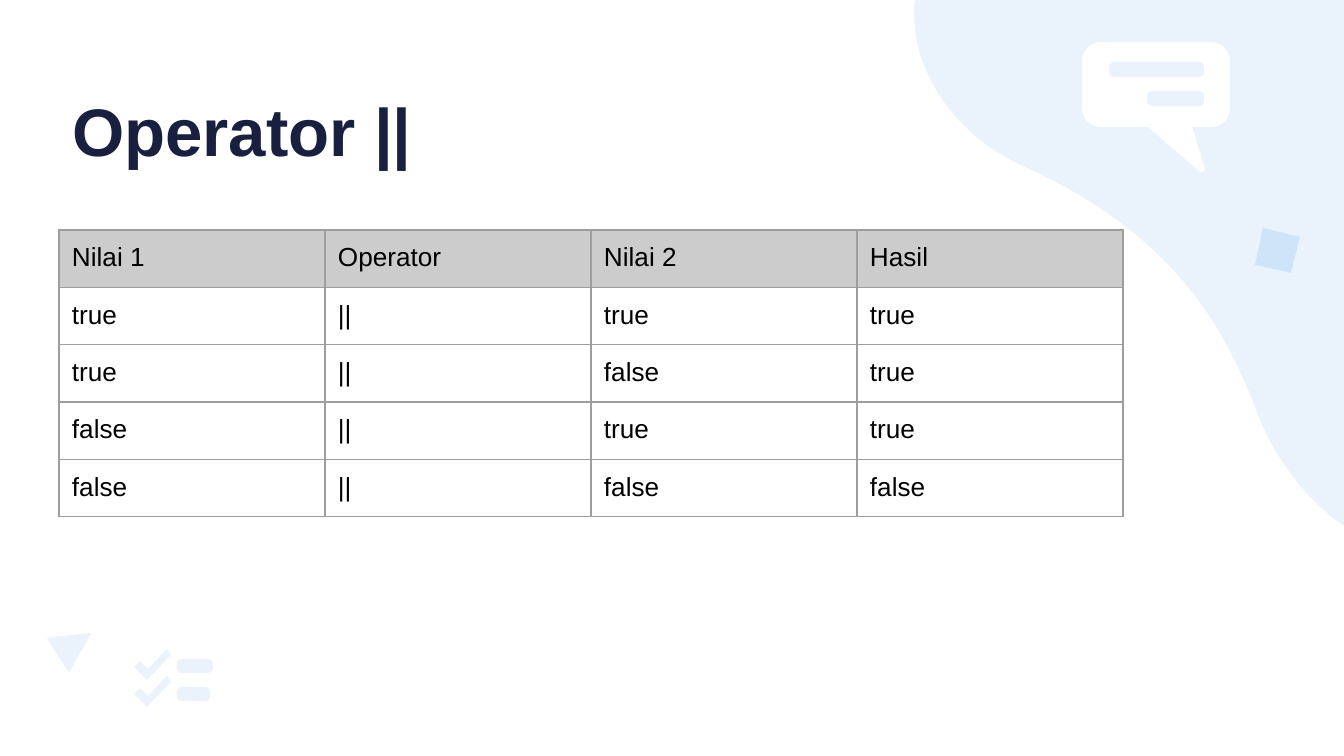
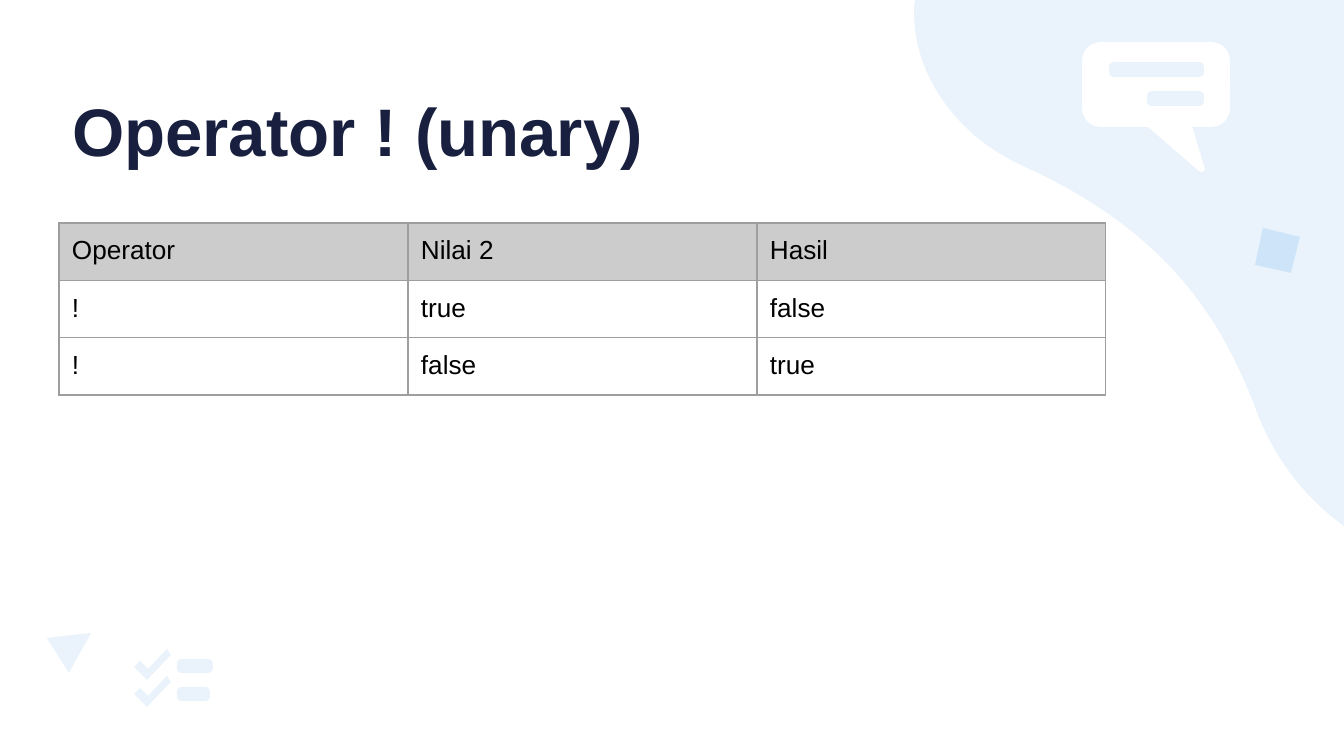
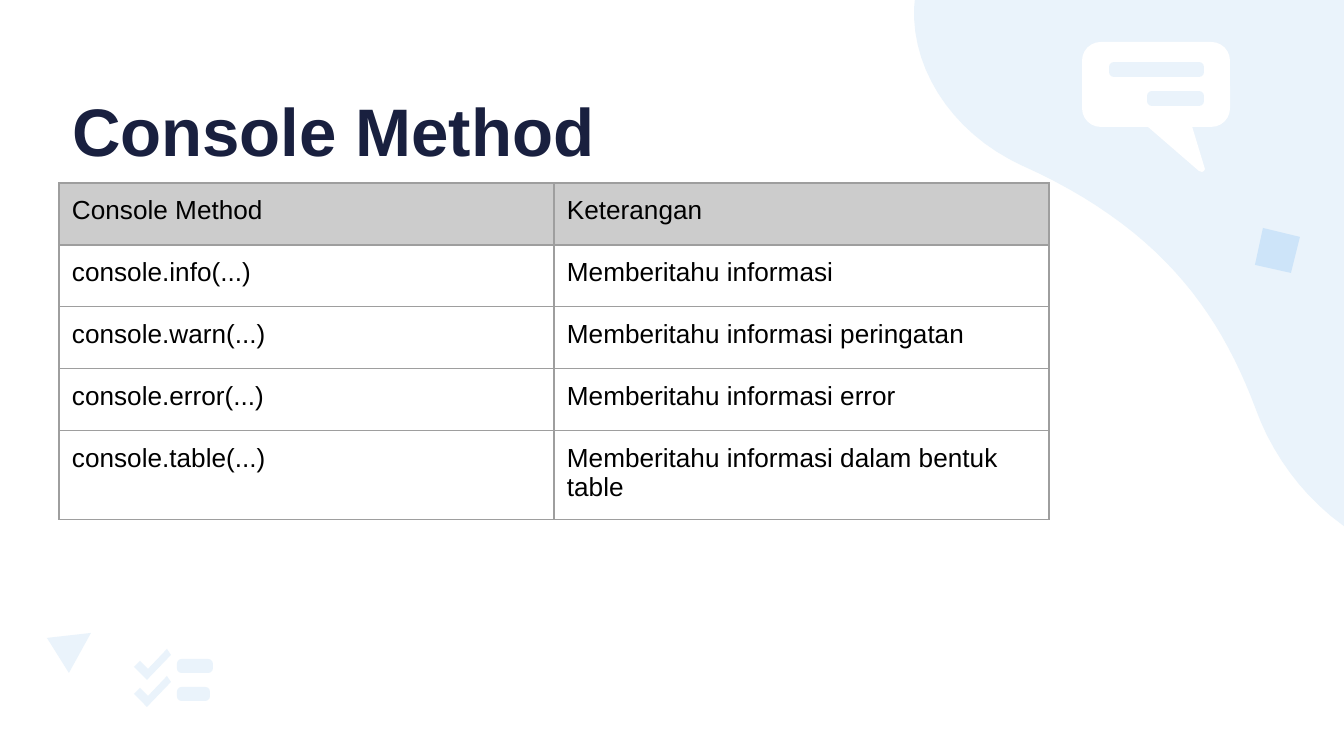
"""Build three slides of operator and console method tables."""
from math import cos, radians, sin

from lxml.etree import SubElement
from pptx import Presentation
from pptx.dml.color import RGBColor
from pptx.enum.shapes import MSO_SHAPE
from pptx.enum.text import MSO_ANCHOR
from pptx.oxml.ns import qn
from pptx.util import Pt

SLIDES = [
    ("Operator ||", 230, 266, 57, [
        ("Nilai 1", "Operator", "Nilai 2", "Hasil"),
        ("true", "||", "true", "true"),
        ("true", "||", "false", "true"),
        ("false", "||", "true", "true"),
        ("false", "||", "false", "false"),
    ]),
    ("Operator ! (unary)", 223, 349, 57, [
        ("Operator", "Nilai 2", "Hasil"),
        ("!", "true", "false"),
        ("!", "false", "true"),
    ]),
    ("Console Method", 183, 495, 62, [
        ("Console Method", "Keterangan"),
        ("console.info(...)", "Memberitahu informasi"),
        ("console.warn(...)", "Memberitahu informasi peringatan"),
        ("console.error(...)", "Memberitahu informasi error"),
        ("console.table(...)", "Memberitahu informasi dalam bentuk table"),
    ]),
]

PALE, SKY, WHITE = "EAF3FB", "CDE4F9", "FFFFFF"
NAVY, BLACK, GREY, RULE = "19203F", "000000", "CCCCCC", "9E9E9E"
FONT = "Arial"
LEFT = 59
PAD = 13
EMU = 914400 / 134.4

WAVE = [
    (970, -109), (992, -128), (1023, -144), (1059, -156),
    (1267, -224), (1486, -121), (1583, -12),
    (1771, 199), (1707, 413), (1594, 507),
    (1581, 519), (1564, 528), (1550, 536),
    (1413, 601), (1292, 510), (1253, 402),
    (1215, 300), (1153, 219), (1020, 159),
    (910, 109), (867, -24), (970, -109),
]
PIVOT, TURN, STEPS = (1339, 153), 320.8, 24
BUBBLE = (1082, 42, 148, 85)
LINES = [(1109, 62, 95, 15), (1147, 91, 57, 15)]
TAIL = [(1192, 126), (1205, 169), (1204, 171), (1202, 172), (1199, 171), (1147, 126)]
ITEMS = [(177, 659, 36, 14), (177, 687, 33, 14)]
CHECK = [(167, 649), (148, 669), (140, 661), (134, 667), (147, 680), (171, 655)]
CHECK_GAP = 27
WEDGE = [(91, 633), (47, 638), (69, 673)]
TILE = [(1263, 228), (1255, 265), (1291, 273), (1300, 237)]


def px(size):
    return round(size * EMU)


def color(code):
    return RGBColor.from_string(code)


def paint(shape, fill):
    shape.shadow.inherit = False
    shape.fill.solid()
    shape.fill.fore_color.rgb = color(fill)
    shape.line.fill.background()
    return shape


def add_form(shapes, points, fill):
    spots = [(px(x), px(y)) for x, y in points]
    pen = shapes.build_freeform(*spots[0])
    pen.add_line_segments(spots[1:], close=True)
    return paint(pen.convert_to_shape(), fill)


def add_bar(shapes, box, fill, curve=0.33):
    bar = shapes.add_shape(MSO_SHAPE.ROUNDED_RECTANGLE, *map(px, box))
    bar.adjustments[0] = curve
    paint(bar, fill)


def trace(knots):
    points = [knots[0]]
    for i in range(0, len(knots) - 1, 3):
        for step in range(1, STEPS + 1):
            t = step / STEPS
            parts = ((1 - t) ** 3, 3 * t * (1 - t) ** 2, 3 * t * t * (1 - t), t ** 3)
            points.append(tuple(sum(p * k[axis] for p, k in zip(parts, knots[i:i + 4]))
                                for axis in (0, 1)))
    return points


def spin(points, pivot, angle):
    c, s = cos(radians(angle)), sin(radians(angle))
    a, b = pivot
    return [(a + (x - a) * c - (y - b) * s, b + (x - a) * s + (y - b) * c)
            for x, y in points]


def add_decor(shapes):
    wave = add_form(shapes, spin(trace(WAVE), PIVOT, -TURN), PALE)
    wave.rotation = TURN
    chat = shapes.add_group_shape().shapes
    add_bar(chat, BUBBLE, WHITE, 0.22)
    for box in LINES:
        add_bar(chat, box, PALE)
    add_form(chat, TAIL, WHITE)
    tasks = shapes.add_group_shape().shapes
    for row, box in enumerate(ITEMS):
        add_bar(tasks, box, PALE)
        add_form(tasks, [(x, y + row * CHECK_GAP) for x, y in CHECK], PALE)
    add_form(shapes, WEDGE, PALE)
    add_form(shapes, TILE, SKY)


def add_text(para, text, size, tint, bold=False):
    run = para.add_run()
    run.text = text
    run.font.name = FONT
    run.font.size = Pt(size)
    run.font.bold = bold
    run.font.color.rgb = color(tint)


def inset(part):
    part.margin_left = part.margin_right = px(PAD)
    part.margin_top = part.margin_bottom = px(PAD)


def add_title(shapes, text):
    frame = shapes.add_textbox(px(LEFT), px(73), px(864), px(110)).text_frame
    frame.word_wrap = True
    frame.vertical_anchor = MSO_ANCHOR.BOTTOM
    inset(frame)
    para = frame.paragraphs[0]
    para.line_spacing = 1.15
    add_text(para, text, 36, NAVY, True)


def add_edges(cell):
    props = cell._tc.get_or_add_tcPr()
    for i, side in enumerate(("lnL", "lnR", "lnT", "lnB")):
        edge = props.makeelement(qn("a:" + side), {"w": str(Pt(0.75))})
        fill = SubElement(edge, qn("a:solidFill"))
        SubElement(fill, qn("a:srgbClr"), val=RULE)
        props.insert(i, edge)


def add_grid(shapes, top, wide, high, rows):
    count = len(rows[0])
    table = shapes.add_table(len(rows), count, px(LEFT), px(top),
                             px(wide * count), px(high * len(rows))).table
    table.first_row = table.horz_banding = False
    for r, row in enumerate(rows):
        for c, text in enumerate(row):
            cell = table.cell(r, c)
            inset(cell)
            add_text(cell.text_frame.paragraphs[0], text, 14, BLACK)
            if r == 0:
                cell.fill.solid()
                cell.fill.fore_color.rgb = color(GREY)
            else:
                cell.fill.background()
            add_edges(cell)


def main():
    deck = Presentation()
    deck.slide_width, deck.slide_height = px(1344), px(756)
    for title, *grid in SLIDES:
        shapes = deck.slides.add_slide(deck.slide_layouts[6]).shapes
        add_decor(shapes)
        add_title(shapes, title)
        add_grid(shapes, *grid)
    deck.save("out.pptx")


if __name__ == "__main__":
    main()
